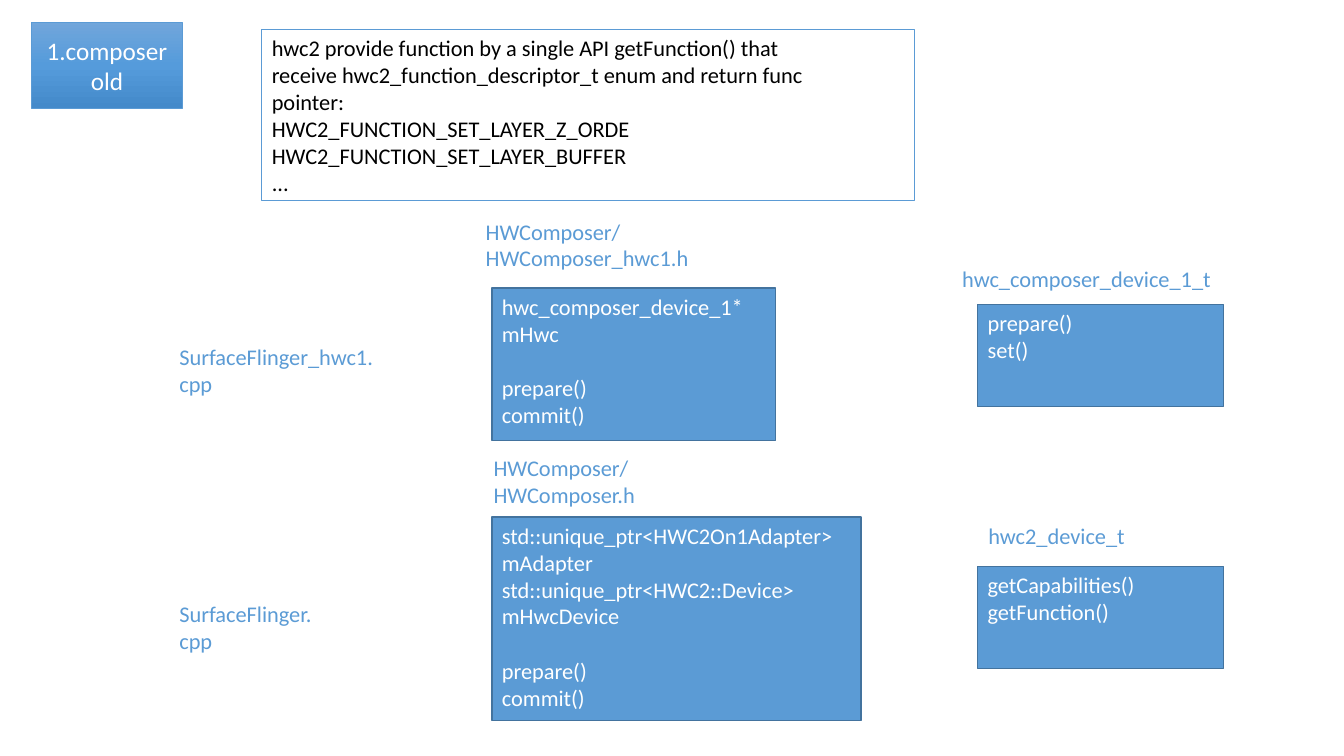
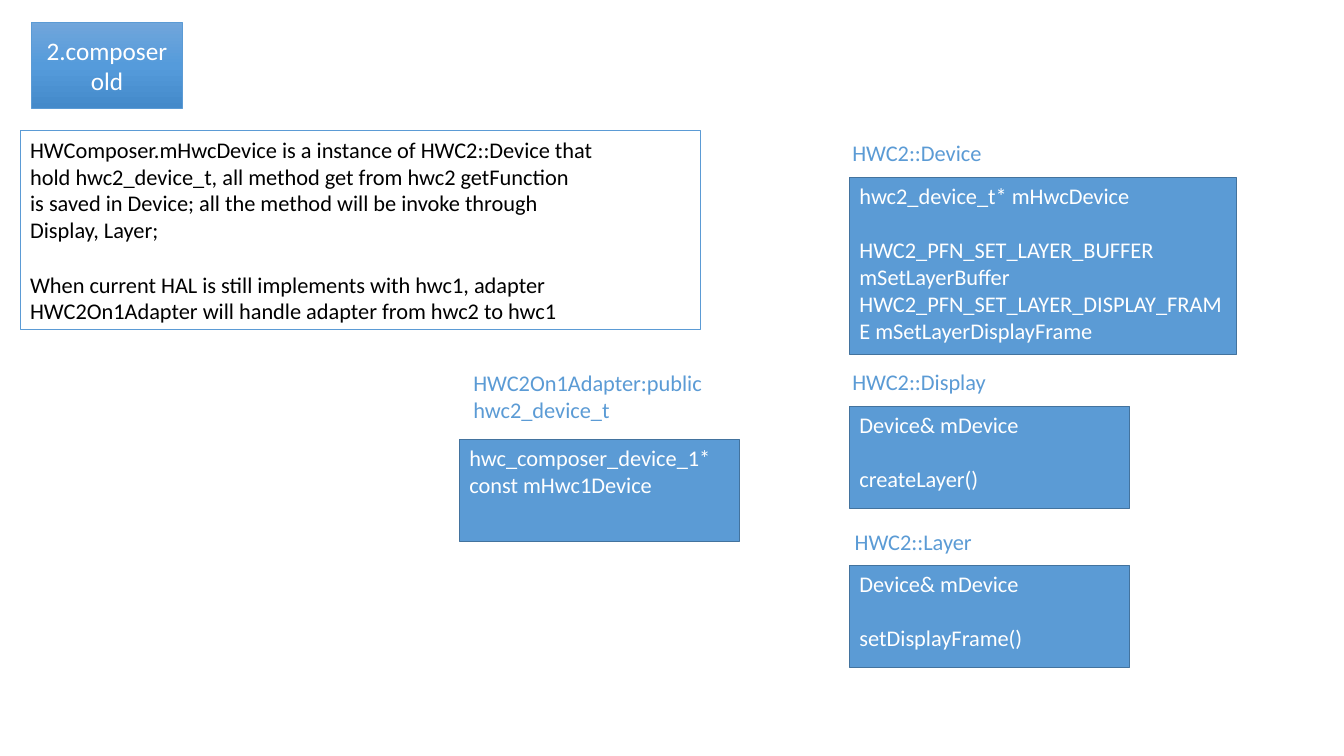
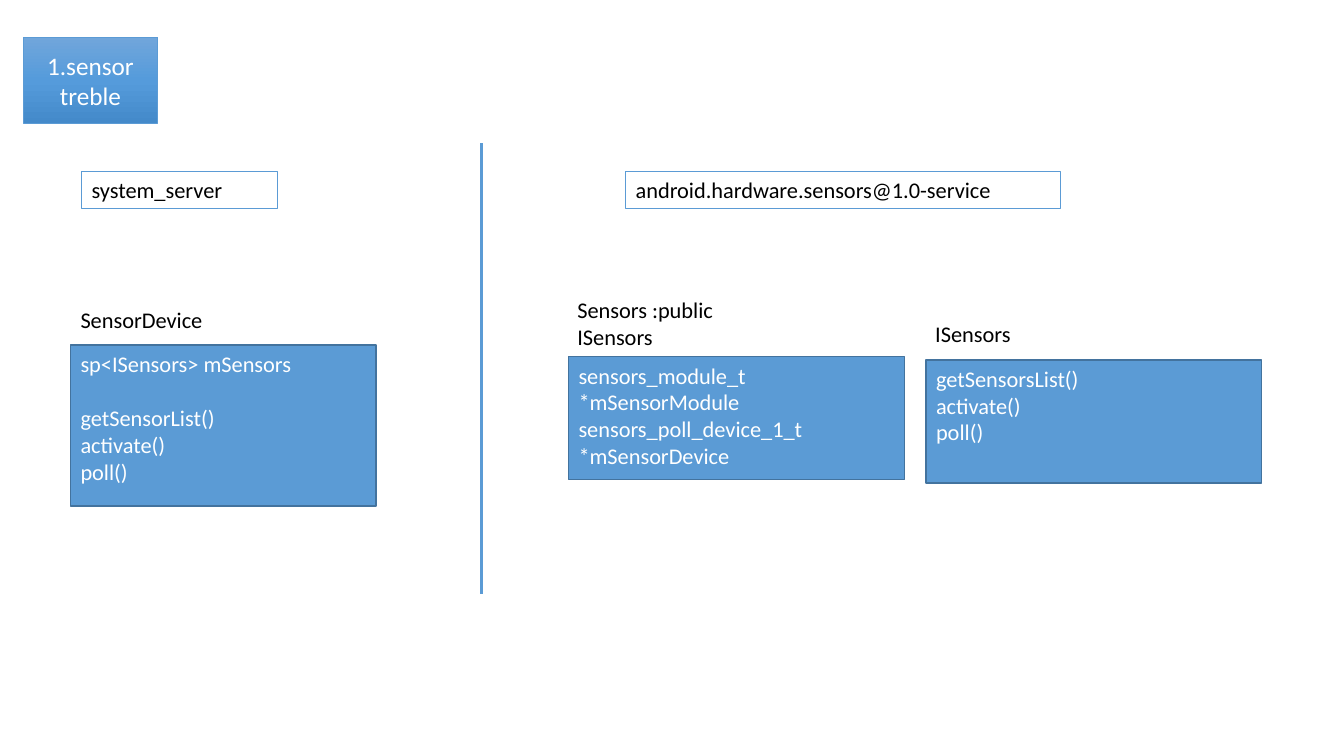
import copy

import pptx
import pptx.dml.color
import pptx.enum.shapes
import pptx.enum.text
import pptx.oxml.ns
import pptx.oxml.xmlchemy
import pptx.util
from lxml import etree

Cm = pptx.util.Cm
Pt = pptx.util.Pt
ANCHOR = pptx.enum.text.MSO_ANCHOR
ALIGN = pptx.enum.text.PP_ALIGN
FIT = pptx.enum.text.MSO_AUTO_SIZE

COLORS = {
    "blue": "5B9BD5",
    "edge": "43739E",
    "white": "FFFFFF",
    "black": "000000",
    "gradient top": "71A6DB",
    "gradient middle": "559BDB",
    "gradient bottom": "448ACA",
}
TITLE_STOPS = [(0, "gradient top"), (0.5, "gradient middle"), (1, "gradient bottom")]

# Look of each kind of box
STYLES = {
    "title": {"fill": "gradient", "line": ("blue", 0.5), "ink": "white",
              "font": {"name": "Calibri", "size": Pt(18)}, "align": ALIGN.CENTER,
              "frame": {"word_wrap": True, "vertical_anchor": ANCHOR.MIDDLE}},
    "card": {"fill": "blue", "line": ("edge", 1), "ink": "white",
             "font": {"name": "Calibri", "size": Pt(16)}, "align": ALIGN.LEFT,
             "frame": {"word_wrap": True, "vertical_anchor": ANCHOR.TOP}},
    "note": {"fill": None, "line": ("blue", 0.75), "ink": "black",
             "font": {"name": "Calibri", "size": Pt(16)}, "align": ALIGN.LEFT,
             "frame": {"word_wrap": True, "vertical_anchor": ANCHOR.TOP,
                       "auto_size": FIT.SHAPE_TO_FIT_TEXT}},
    "label": {"ink": "blue",
              "font": {"name": "Calibri", "size": Pt(16)}, "align": ALIGN.LEFT,
              "frame": {"word_wrap": True, "vertical_anchor": ANCHOR.TOP,
                        "auto_size": FIT.SHAPE_TO_FIT_TEXT}},
}
STYLES["dark label"] = {**STYLES["label"], "ink": "black"}

LINE_GAP = Pt(19.5)   # one text line, used between groups of lines
ONE, TWO = 0.94, 1.6  # heights of labels with one and two lines

# Each box: kind, left, top, width, height, text; an empty line starts a new group
PAGES = [
    [
        ("title", 0.79, 0.56, 3.81, 2.16, "1.composer\nold"),
        ("note", 6.6, 0.74, 16.46, 4.32,
         "hwc2 provide function by a single API getFunction() that\n"
         "receive hwc2_function_descriptor_t enum and return func\n"
         "pointer:\n"
         "HWC2_FUNCTION_SET_LAYER_Z_ORDE\n"
         "HWC2_FUNCTION_SET_LAYER_BUFFER\n"
         "..."),
        ("label", 4.27, 8.53, 6.12, TWO, "SurfaceFlinger_hwc1.\ncpp"),
        ("label", 11.99, 5.36, 5.69, TWO, "HWComposer/\nHWComposer_hwc1.h"),
        ("card", 12.4, 7.26, 7.14, 3.84,
         "hwc_composer_device_1* mHwc\n\nprepare()\ncommit()"),
        ("label", 24, 6.55, 7.01, ONE, "hwc_composer_device_1_t"),
        ("card", 24.64, 7.67, 6.2, 2.57, "prepare()\nset()"),
        ("label", 4.27, 14.99, 4.62, TWO, "SurfaceFlinger.\ncpp"),
        ("label", 12.19, 11.33, 4.72, TWO, "HWComposer/\nHWComposer.h"),
        ("card", 12.4, 13.03, 9.3, 5.13,
         "std::unique_ptr<HWC2On1Adapter> mAdapter\n"
         "std::unique_ptr<HWC2::Device> mHwcDevice\n\n"
         "prepare()\ncommit()"),
        ("label", 24.66, 13.03, 4.47, ONE, "hwc2_device_t"),
        ("card", 24.64, 14.27, 6.2, 2.57, "getCapabilities()\ngetFunction()"),
    ],
    [
        ("title", 0.79, 0.56, 3.81, 2.16, "2.composer\nold"),
        ("note", 0.51, 3.3, 17.15, 5,
         "HWComposer.mHwcDevice is a instance of HWC2::Device that\n"
         "hold hwc2_device_t, all method get from hwc2 getFunction\n"
         "is saved in Device; all the method will be invoke through\n"
         "Display, Layer;\n\n"
         "When current HAL is still implements with hwc1, adapter\n"
         "HWC2On1Adapter will handle adapter from hwc2 to hwc1"),
        ("label", 11.68, 9.17, 6.48, TWO, "HWC2On1Adapter:public hwc2_device_t"),
        ("card", 11.58, 11.07, 7.06, 2.57, "hwc_composer_device_1* const mHwc1Device"),
        ("label", 21.23, 3.38, 4.22, ONE, "HWC2::Device"),
        ("card", 21.41, 4.47, 9.75, 4.47,
         "hwc2_device_t* mHwcDevice\n\n"
         "HWC2_PFN_SET_LAYER_BUFFER mSetLayerBuffer\n"
         "HWC2_PFN_SET_LAYER_DISPLAY_FRAME mSetLayerDisplayFrame"),
        ("label", 21.23, 9.14, 4.22, ONE, "HWC2::Display"),
        ("card", 21.41, 10.24, 7.06, 2.57, "Device& mDevice\n\ncreateLayer()"),
        ("label", 21.29, 13.18, 4.22, ONE, "HWC2::Layer"),
        ("card", 21.41, 14.25, 7.06, 2.57, "Device& mDevice\n\nsetDisplayFrame()"),
    ],
    [
        ("title", 0.58, 0.94, 3.4, 2.16, "1.sensor\ntreble"),
        ("note", 2.06, 4.32, 4.93, ONE, "system_server"),
        ("dark label", 1.78, 7.59, 4.37, ONE, "SensorDevice"),
        ("card", 1.78, 8.69, 7.7, 4.06,
         "sp<ISensors> mSensors\n\ngetSensorList()\nactivate()\npoll()"),
        ("note", 15.77, 4.32, 10.95, ONE, "android.hardware.sensors@1.0-service"),
        ("dark label", 14.3, 7.34, 5.03, TWO, "Sensors :public ISensors"),
        ("card", 14.33, 8.99, 8.46, 3.1,
         "sensors_module_t *mSensorModule\nsensors_poll_device_1_t *mSensorDevice"),
        ("dark label", 23.32, 7.95, 3.15, ONE, "ISensors"),
        ("card", 23.34, 9.07, 8.46, 3.1, "getSensorsList()\nactivate()\npoll()"),
    ],
]


def color(name):
    return pptx.dml.color.RGBColor.from_string(COLORS[name])


def add_box(page, kind, left, top, width, height, text):
    style = STYLES[kind]
    place = [Cm(length) for length in (left, top, width, height)]
    if "fill" in style:
        box = page.shapes.add_shape(pptx.enum.shapes.MSO_SHAPE.RECTANGLE, *place)
        box.shadow.inherit = False
        line_color, line_width = style["line"]
        box.line.color.rgb = color(line_color)
        box.line.width = Pt(line_width)
        if style["fill"] is None:
            box.fill.background()
        elif style["fill"] == "gradient":
            box.fill.gradient()
            box.fill.gradient_angle = 270
            stop_list = box._element.spPr.find(".//" + pptx.oxml.ns.qn("a:gsLst"))
            stop_list.append(copy.deepcopy(stop_list[-1]))
            for stop, (position, name) in zip(box.fill.gradient_stops, TITLE_STOPS):
                stop.position = position
                stop.color.rgb = color(name)
        else:
            box.fill.solid()
            box.fill.fore_color.rgb = color(style["fill"])
    else:
        box = page.shapes.add_textbox(*place)

    frame = box.text_frame
    for name, value in style["frame"].items():
        setattr(frame, name, value)
    lines = text.split("\n")
    for number, line in enumerate(lines):
        if not line:
            continue
        para = frame.add_paragraph() if number else frame.paragraphs[0]
        para.alignment = style["align"]
        if number and not lines[number - 1]:
            para.space_before = LINE_GAP
        span = para.add_run()
        span.text = line
        for name, value in style["font"].items():
            setattr(span.font, name, value)
        span.font.color.rgb = color(style["ink"])


deck = pptx.Presentation()
deck.slide_width = Cm(33.87)
deck.slide_height = Cm(19.05)

# Boxes of every page
for boxes in PAGES:
    page = deck.slides.add_slide(deck.slide_layouts[6])
    for entry in boxes:
        add_box(page, *entry)

# Divider between the two processes on the last page
divider = page.shapes.add_connector(
    pptx.enum.shapes.MSO_CONNECTOR.STRAIGHT, Cm(12.14), Cm(3.61), Cm(12.14), Cm(14.96))
divider.line.color.rgb = color("blue")
divider.line.width = Pt(2)
etree.SubElement(divider._element.spPr, pptx.oxml.ns.qn("a:effectLst"))

deck.save("out.pptx")
